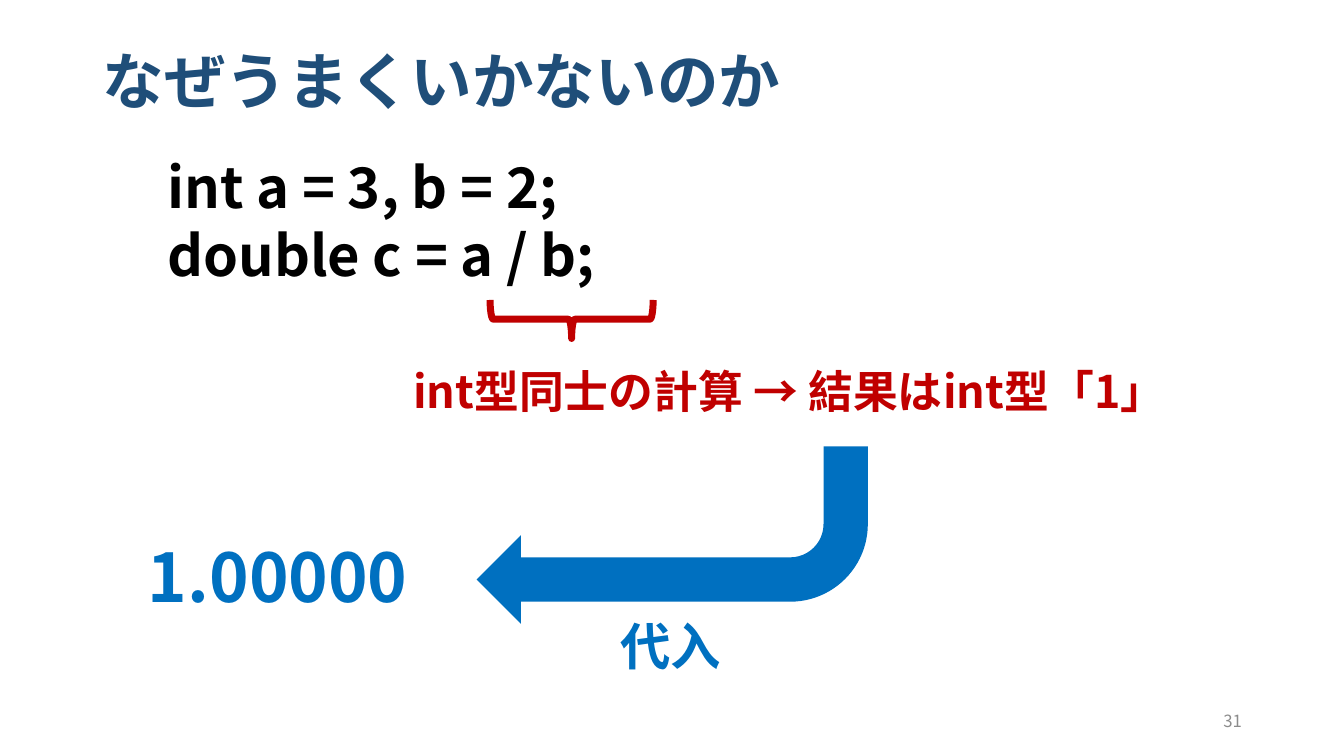
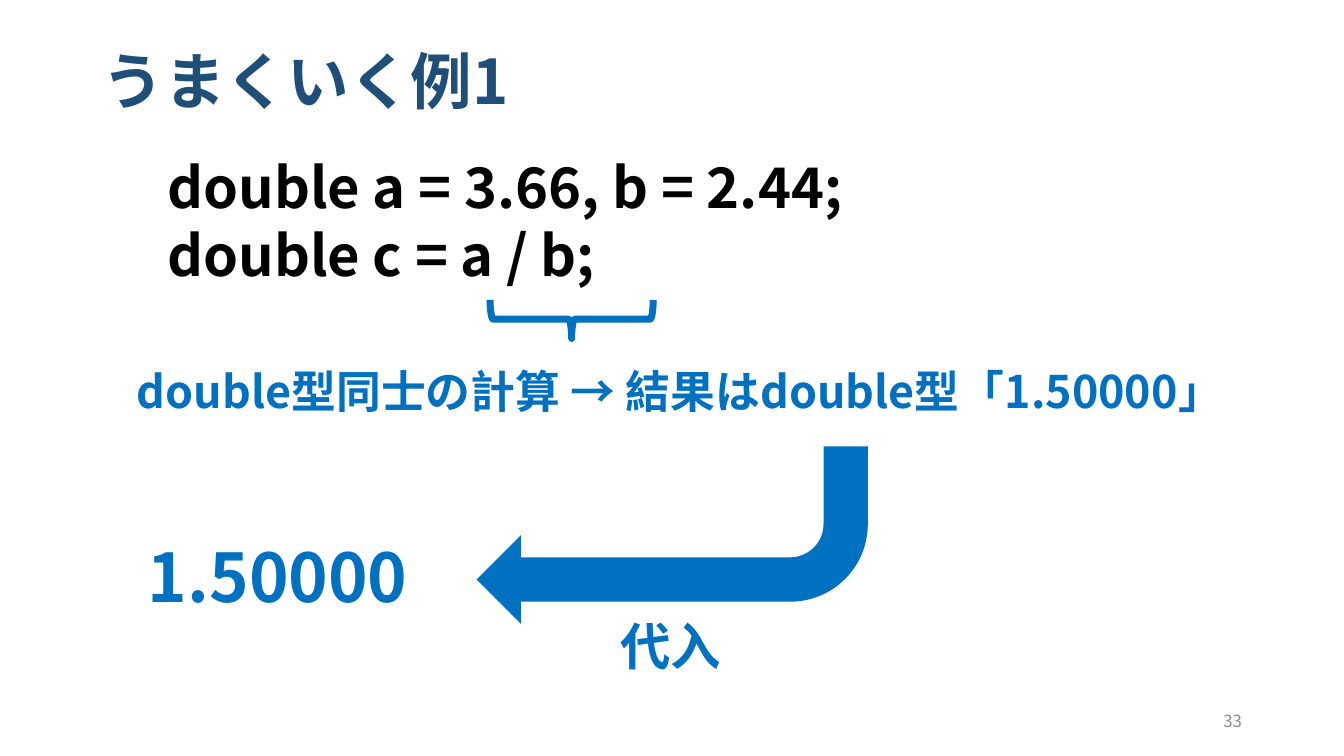
from pptx import Presentation, util as u
from pptx.dml.color import RGBColor
from pptx.enum import shapes, text
from pptx.oxml.ns import qn
from lxml import etree

# Content
BLUE, RED = "0070C0", "C00000"
SLIDES = [
    dict(title="なぜうまくいかないのか", number="31", color=RED,
         code=["int a = 3, b = 2;", "double c = a / b;"],
         note="int型同士の計算 → 結果はint型「1」",
         note_box=(10.16, 9.04, 20.02, 1.63), result="1.00000"),
    dict(title="うまくいく例1", number="33", color=BLUE,
         code=["double a = 3.66, b = 2.44;", "double c = a / b;"],
         note="double型同士の計算 → 結果はdouble型「1.50000」",
         note_box=(3.2, 9.04, 29.92, 1.63), result="1.50000"),
]

# Shared style: boxes are left, top, width, height in cm
FONT = "Noto Sans CJK JP"
TITLE_BOX = (2.34, 1.02, 29.21, 2.21)
CODE_BOX = (2.34, 3.73, 29.21, 13.44)
BRACE_BOX = (13.92, 5.99, 0.97, 4.11)
ARROW_BOX = (12.01, 11.25, 9.86, 4.47)
ASSIGN_BOX = (15.39, 15.37, 10.21, 1.8)
RESULT_BOX = (3.48, 13.36, 8.51, 2.31)
NUMBER_BOX = (23.93, 17.65, 7.62, 1.02)
CODE_INDENT = 1.63
MIDDLE = text.MSO_ANCHOR.MIDDLE


def rgb(value):
    return RGBColor.from_string(value)


def cm(box):
    return [u.Cm(v) for v in box]


def add_text(s, box, lines, size, color, bold=True, anchor=text.MSO_ANCHOR.TOP,
             indent=0, **paragraph_format):
    tf = s.shapes.add_textbox(*cm(box)).text_frame
    tf.word_wrap = True
    tf.vertical_anchor = anchor
    for i, line in enumerate(lines):
        p = tf.paragraphs[0] if i == 0 else tf.add_paragraph()
        for key, value in paragraph_format.items():
            setattr(p, key, value)
        if indent:
            p._p.get_or_add_pPr().set("marL", str(u.Cm(indent)))
        r = p.add_run()
        r.text = line
        for key, value in dict(name=FONT, size=u.Pt(size), bold=bold).items():
            setattr(r.font, key, value)
        r.font.color.rgb = rgb(color)
        # Japanese characters take their font from a:ea
        etree.SubElement(r._r.get_or_add_rPr(), qn("a:ea"), typeface=FONT)


def add_turned(s, kind, box, rotation):
    sp = s.shapes.add_shape(kind, *cm(box))
    sp.rotation = rotation
    sp.shadow.inherit = False
    return sp


def add_brace(s, color):
    sp = add_turned(s, shapes.MSO_SHAPE.RIGHT_BRACE, BRACE_BOX, 90)
    sp.fill.background()
    sp.line.color.rgb = rgb(color)
    sp.line.width = u.Pt(5)


def add_arrow(s):
    sp = add_turned(s, shapes.MSO_SHAPE.BENT_ARROW, ARROW_BOX, 180)
    sp.fill.solid()
    sp.fill.fore_color.rgb = rgb(BLUE)
    sp.line.fill.background()


def build_slide(prs, d):
    s = prs.slides.add_slide(prs.slide_layouts[6])
    # Title and code
    add_text(s, TITLE_BOX, [d["title"]], 44, "1F4E79", anchor=MIDDLE,
             line_spacing=0.9)
    add_text(s, CODE_BOX, d["code"], 40, "000000", indent=CODE_INDENT)
    # Type of the expression
    add_brace(s, d["color"])
    add_text(s, d["note_box"], [d["note"]], 32, d["color"])
    # Assignment and its result
    add_arrow(s)
    add_text(s, ASSIGN_BOX, ["代入"], 36, BLUE)
    add_text(s, RESULT_BOX, [d["result"]], 48, BLUE)
    # Slide number
    add_text(s, NUMBER_BOX, [d["number"]], 12, "8C8C8C", bold=False,
             anchor=MIDDLE, alignment=text.PP_ALIGN.RIGHT)


def main():
    prs = Presentation()
    prs.slide_width, prs.slide_height = u.Cm(33.87), u.Cm(19.05)
    for d in SLIDES:
        build_slide(prs, d)
    prs.save("out.pptx")


if __name__ == "__main__":
    main()
